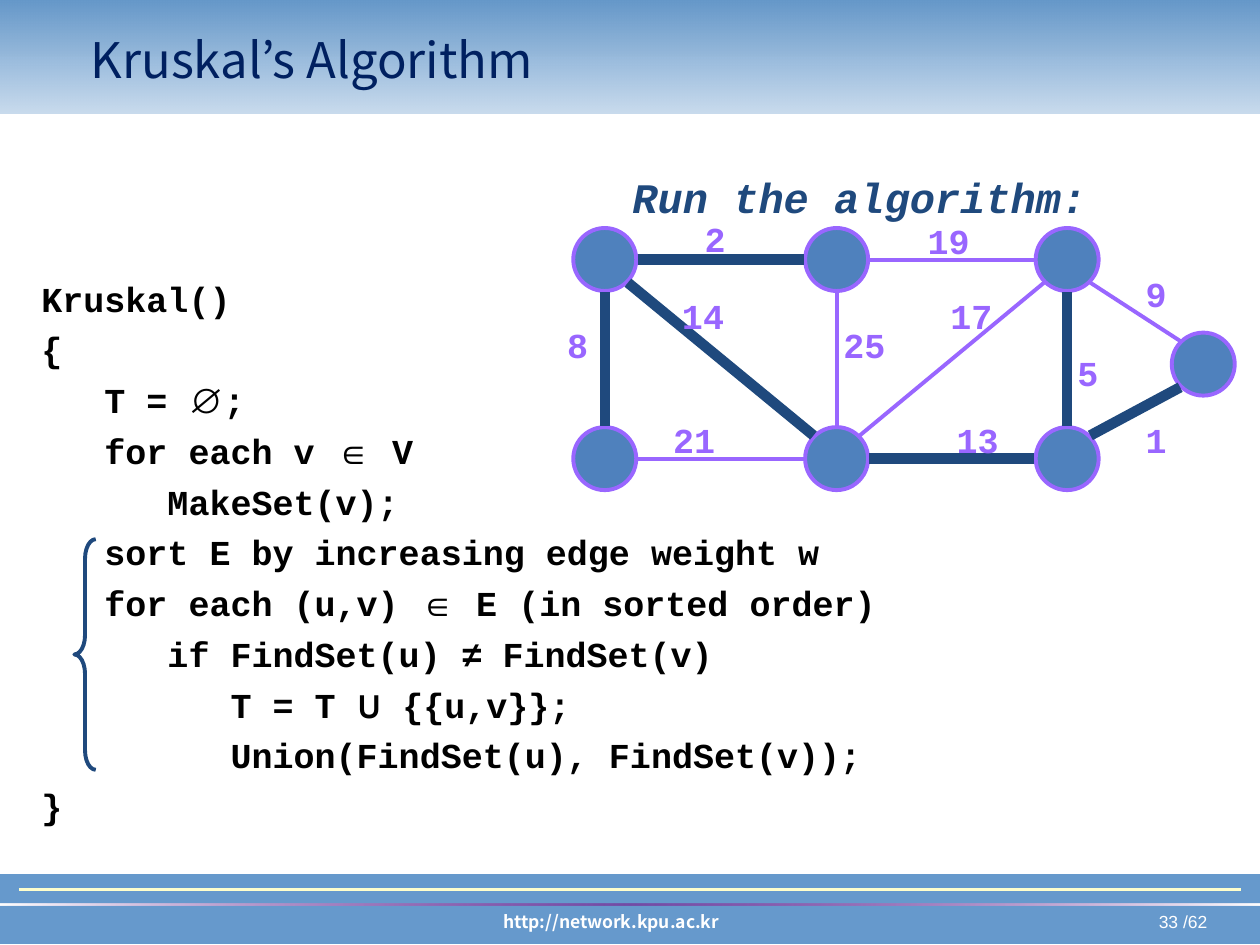
from dataclasses import dataclass
from math import atan2, cos, pi, sin

from lxml import etree
from pptx import Presentation
from pptx.dml.color import RGBColor
from pptx.enum.shapes import MSO_CONNECTOR as CONN, MSO_SHAPE as SHAPE
from pptx.enum.text import MSO_ANCHOR as ANCHOR, MSO_AUTO_SIZE as AUTO
from pptx.enum.text import PP_ALIGN as ALIGN
from pptx.oxml.ns import qn
from pptx.util import Inches, Pt


@dataclass(frozen=True)
class Theme:
    band: str = "6699CC"
    band_top: str = "6497C9"
    rule: str = "FFFFCC"
    purple: str = "800080"
    white: str = "FFFFFF"
    title: str = "002060"
    node: str = "4F81BD"
    edge: str = "9966FF"
    tree: str = "1F497D"
    code: str = "000000"
    sans: str = "Noto Sans CJK KR"
    mono: str = "Courier New"
    symbol: str = "Arial"
    union: str = "Karla"
    title_pt: int = 28
    heading_pt: int = 24
    body_pt: int = 20
    footer_pt: int = 10
    thin_pt: float = 2.25
    thick_pt: int = 6


class SlideBuilder:
    def __init__(self, slide, theme):
        self.slide, self.theme = slide, theme

    def font(self, target, name, size, color, bold=False, italic=False):
        f = target.font
        f.name, f.size, f.bold, f.italic = name, Pt(size), bold, italic
        f.color.rgb = RGBColor.from_string(color)

    def shape(self, kind, box, fill=None, line=None, width=1):
        sp = self.slide.shapes.add_shape(kind, *map(Inches, box))
        sp.shadow.inherit = False
        if fill:
            sp.fill.solid()
            sp.fill.fore_color.rgb = RGBColor.from_string(fill)
        else:
            sp.fill.background()
        if line:
            sp.line.color.rgb = RGBColor.from_string(line)
            sp.line.width = Pt(width)
        else:
            sp.line.fill.background()
        return sp

    def gradient(self, box, stops, angle):
        """Rectangle with (position %, colour, opacity %) gradient stops."""
        sp = self.shape(SHAPE.RECTANGLE, box)
        sp.fill.gradient()
        sp.fill.gradient_angle = angle
        stop_list = sp.element.spPr.find(qn("a:gradFill")).find(qn("a:gsLst"))
        for old in list(stop_list):
            stop_list.remove(old)
        for pos, color, opacity in stops:
            gs = etree.SubElement(stop_list, qn("a:gs"), pos=str(pos * 1000))
            clr = etree.SubElement(gs, qn("a:srgbClr"), val=color)
            if opacity < 100:
                etree.SubElement(clr, qn("a:alpha"), val=str(opacity * 1000))

    def line(self, start, end, color, width):
        cx = self.slide.shapes.add_connector(
            CONN.STRAIGHT, *map(Inches, (*start, *end)))
        cx.line.color.rgb = RGBColor.from_string(color)
        cx.line.width = Pt(width)
        etree.SubElement(cx.element.spPr, qn("a:effectLst"))

    def text(self, box, text, name, size, color, align=ALIGN.CENTER,
             wrap=False, **style):
        tf = self.slide.shapes.add_textbox(*map(Inches, box)).text_frame
        tf.word_wrap = wrap
        tf.auto_size = AUTO.SHAPE_TO_FIT_TEXT
        p = tf.paragraphs[0]
        p.text, p.alignment = text, align
        self.font(p, name, size, color, **style)

    def title(self, box, text):
        sp = self.slide.shapes.title
        sp.left, sp.top, sp.width, sp.height = map(Inches, box)
        tf = sp.text_frame
        tf.vertical_anchor = ANCHOR.MIDDLE
        p = tf.paragraphs[0]
        p.text, p.alignment = text, ALIGN.LEFT
        self.font(p, self.theme.sans, self.theme.title_pt, self.theme.title)
        # Bring the title in front of the header band
        self.slide.shapes._spTree.append(sp.element)

    def code(self, box, lines, symbol_fonts):
        t = self.theme
        tf = self.slide.shapes.add_textbox(*map(Inches, box)).text_frame
        tf.word_wrap = True
        for i, parts in enumerate(lines):
            p = tf.paragraphs[0] if i == 0 else tf.add_paragraph()
            if i:
                p.space_before = Pt(5)
            self.font(p, t.mono, t.body_pt, t.code, bold=True)
            for part in parts:
                r = p.add_run()
                r.text = part
                self.font(r, symbol_fonts.get(part, t.mono), t.body_pt,
                          t.code, bold=True)

    def node(self, center, size=0.5):
        x, y = center
        self.shape(SHAPE.OVAL, (x - size / 2, y - size / 2, size, size),
                   self.theme.node, self.theme.edge, self.theme.thin_pt)

    def edge(self, start, end, in_tree, gap=0.26):
        """Join two nodes at the nearest of their eight rim points."""
        (x1, y1), (x2, y2) = start, end
        angle = round(atan2(y2 - y1, x2 - x1) / (pi / 4)) * pi / 4
        dx, dy = gap * cos(angle), gap * sin(angle)
        t = self.theme
        self.line((x1 + dx, y1 + dy), (x2 - dx, y2 - dy),
                  t.tree if in_tree else t.edge,
                  t.thick_pt if in_tree else t.thin_pt)

    def weight(self, value, left, top):
        t = self.theme
        width = 0.37 if value < 10 else 0.54
        self.text((left, top, width, 0.44), str(value), t.mono, t.body_pt,
                  t.edge, bold=True)


NODES = {
    "a": (4.8, 2.06), "b": (6.64, 2.06), "c": (8.47, 2.06),
    "d": (4.8, 3.64), "e": (6.64, 3.64), "f": (8.47, 3.64),
    "g": (9.55, 2.89),
}
# Ends, weight, whether in the spanning tree, label left and top
EDGES = [
    ("ab", 2, True, 5.49, 1.68), ("bc", 19, False, 7.26, 1.69),
    ("ce", 17, False, 7.44, 2.29), ("de", 21, False, 5.24, 3.27),
    ("ad", 8, True, 4.4, 2.52), ("ae", 14, True, 5.31, 2.29),
    ("be", 25, False, 6.59, 2.52), ("ef", 13, True, 7.49, 3.27),
    ("cf", 5, True, 8.45, 2.74), ("cg", 9, False, 8.99, 2.11),
    ("fg", 1, True, 8.99, 3.27),
]
CODE = [
    ("Kruskal()",),
    ("{",),
    ("   T = ", "∅", ";"),
    ("   for each v ", "∈", " V"),
    ("      MakeSet(v);",),
    ("   sort E by increasing edge weight w",),
    ("   for each (u,v) ", "∈", " E (in sorted order)"),
    ("      if FindSet(u) ", "≠", " FindSet(v)"),
    ("         T = T ", "U", " {{u,v}};"),
    ("         Union(FindSet(u), FindSet(v));",),
    ("}",),
]


def main():
    prs = Presentation()
    prs.slide_width, prs.slide_height = Inches(10), Inches(7.5)
    t = Theme()
    s = SlideBuilder(prs.slides.add_slide(prs.slide_layouts[5]), t)

    # Footer and header bands
    s.shape(SHAPE.RECTANGLE, (0, 6.94, 10, 0.55), t.band, t.band, 0.75)
    s.text((7.42, 7.18, 2.26, 0.27), "33 /62", t.symbol, t.footer_pt, t.white,
           ALIGN.RIGHT, wrap=True)
    s.text((2.27, 7.18, 5.16, 0.27), "http://network.kpu.ac.kr", t.sans,
           t.footer_pt, t.white, wrap=True, bold=True)
    s.line((0.15, 7.06), (9.85, 7.06), t.rule, 1.5)
    s.gradient((0, 0, 10, 0.9), [(0, t.band, 35), (100, t.band_top, 100)], 90)
    s.gradient((0, 7.17, 10, 0.02), [(0, t.white, 100), (50, t.purple, 50),
                                     (100, t.white, 100)], 0)
    s.title((0.62, 0.16, 8.44, 0.62), "Kruskal’s Algorithm")

    # Weighted graph
    for center in NODES.values():
        s.node(center)
    for (start, end), _, in_tree, _, _ in EDGES:
        s.edge(NODES[start], NODES[end], in_tree)
    for _, value, _, left, top in EDGES:
        s.weight(value, left, top)
    s.text((4.92, 1.31, 3.8, 0.5), "Run the algorithm:", t.mono, t.heading_pt,
           t.tree, bold=True, italic=True)

    # Pseudocode, with a brace beside the main loop
    s.code((0.23, 2.15, 9.45, 4.65), CODE,
           {"∅": t.symbol, "∈": t.symbol, "≠": t.symbol, "U": t.union})
    brace = s.shape(SHAPE.LEFT_BRACE, (0.59, 4.28, 0.17, 1.83),
                    line=t.tree, width=t.thin_pt)
    brace.adjustments[0] = 0.9

    prs.save("out.pptx")


if __name__ == "__main__":
    main()
